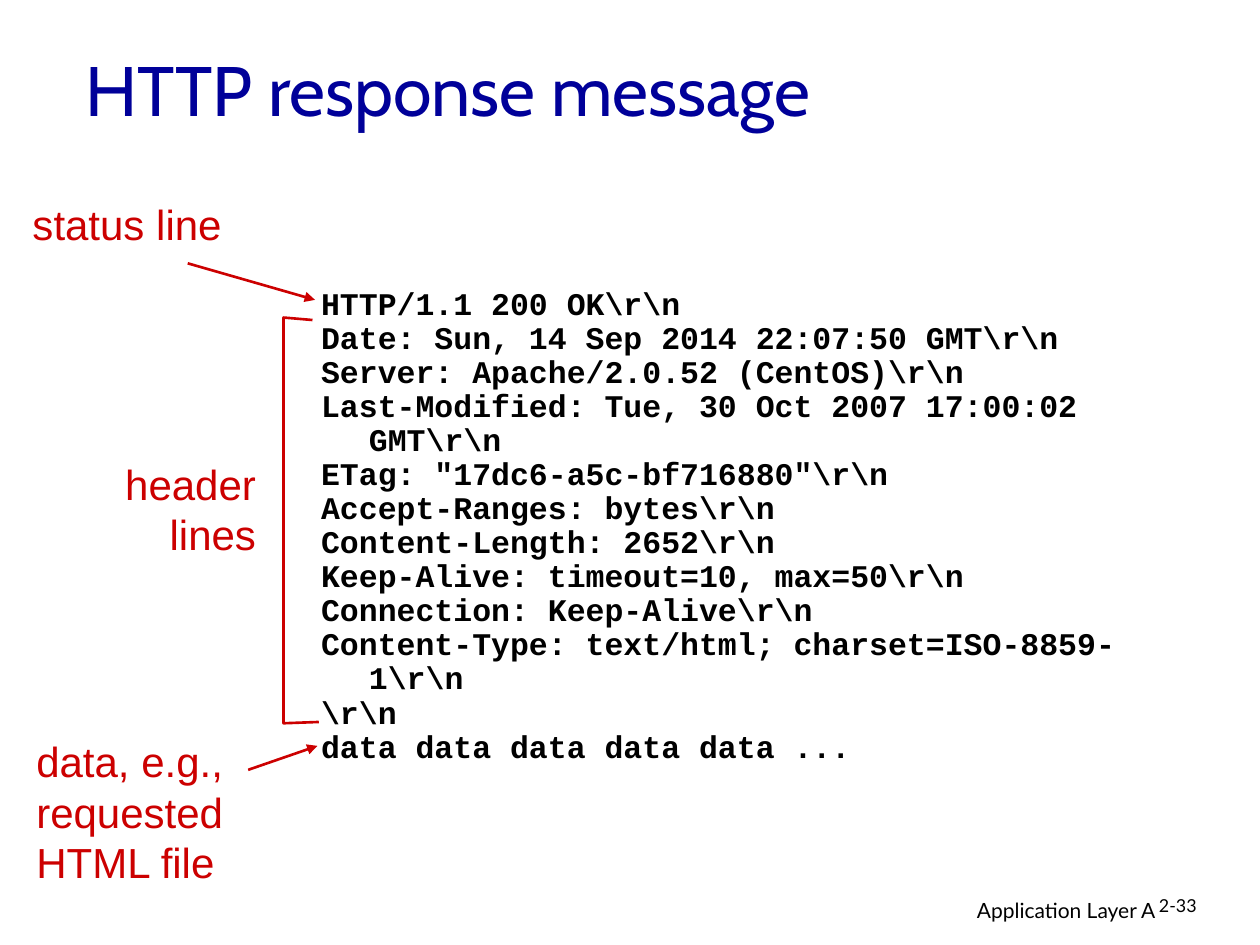
from lxml.etree import SubElement
from pptx import Presentation
from pptx.dml.color import RGBColor
from pptx.enum.shapes import MSO_CONNECTOR as Connector
from pptx.enum.text import MSO_ANCHOR as Anchor, MSO_AUTO_SIZE as AutoSize, PP_ALIGN as Align
from pptx.oxml.ns import qn
from pptx.util import Inches, Pt

RED, NAVY, BLACK = "CC0000", "000099", "000000"
LEFT, RIGHT = Align.LEFT, Align.RIGHT

presentation = Presentation()
presentation.slide_width, presentation.slide_height = Inches(10), Inches(7.5)
COLUMN = presentation.slide_width / 100
ROW = presentation.slide_height / 75
slide = presentation.slides.add_slide(presentation.slide_layouts[5])


def rgb(value):
    return RGBColor.from_string(value)


def write(shape, lines, font, color, paragraph_format):
    """Fill a shape with one paragraph per line, all in one style."""
    frame = shape.text_frame
    frame.text = "\n".join(lines)
    for paragraph in frame.paragraphs:
        for name, value in paragraph_format.items():
            setattr(paragraph, name, value)
        for name, value in font.items():
            setattr(paragraph.font, name, value)
        paragraph.font.color.rgb = rgb(color)


# Title
title = slide.shapes.title
title_place = {"left": 5.8 * COLUMN, "top": 1.7 * ROW, "width": 85 * COLUMN, "height": 10.7 * ROW}
for name, value in title_place.items():
    setattr(title, name, round(value))
title.text_frame.auto_size = AutoSize.NONE
title.text_frame.vertical_anchor = Anchor.MIDDLE
write(title, ["HTTP response message"], {"name": "Cabin", "size": Pt(40)}, NAVY, {"alignment": LEFT})

# Text styles
label_font = {"name": "Arial", "size": Pt(24)}
code_font = {"name": "Courier New", "size": Pt(18), "bold": True}
footer_font = {"name": "Lato", "size": Pt(12)}
number_font = {"name": "Lato", "size": Pt(10.2)}
left, right = {"alignment": LEFT}, {"alignment": RIGHT}
tight = {"alignment": LEFT, "line_spacing": 0.9}

# Response message, each line closed by a visible line break
message = [line + r"\r\n" for line in (
    "HTTP/1.1 200 OK",
    "Date: Sun, 14 Sep 2014 22:07:50 GMT",
    "Server: Apache/2.0.52 (CentOS)",
    "Last-Modified: Tue, 30 Oct 2007 17:00:02 GMT",
    'ETag: "17dc6-a5c-bf716880"',
    "Accept-Ranges: bytes",
    "Content-Length: 2652",
    "Keep-Alive: timeout=10, max=50",
    "Connection: Keep-Alive",
    "Content-Type: text/html; charset=ISO-8859-1",
    "",
)] + ["data data data data data ..."]

# Text boxes: column, row, columns wide, rows high, wrap, lines, font, colour, format
text_boxes = [
    (61, 70.7, 31.7, 3.1, True, ["Application Layer A"], footer_font, BLACK, right),
    (91, 70.7, 7.4, 3, True, ["2-33"], number_font, BLACK, tight),
    (1.6, 15.3, 17, 5, False, ["status line"], label_font, RED, left),
    (8.9, 35.9, 12.4, 9, False, ["header", "lines"], label_font, RED, right),
    (1.9, 57.9, 17.7, 13, False, ["data, e.g.,", "requested", "HTML file"], label_font, RED, left),
    (24.5, 22.4, 69, 38.8, True, message, code_font, BLACK, tight),
]
for column, row, columns, rows, wrap, lines, font, color, paragraph_format in text_boxes:
    box = slide.shapes.add_textbox(
        round(column * COLUMN), round(row * ROW), round(columns * COLUMN), round(rows * ROW))
    box.text_frame.word_wrap = wrap
    write(box, lines, font, color, paragraph_format)

# Hanging indent for the wrapped message lines
for paragraph in box.text_frame.paragraphs:
    properties = paragraph._p.get_or_add_pPr()
    properties.set("marL", str(Inches(0.38)))
    properties.set("indent", str(-Inches(0.38)))

# Arrows from the labels to the status line and the data
for x1, y1, x2, y2 in [(14.9, 20.9, 25, 23.8), (19.7, 61.1, 25.2, 59.2)]:
    arrow = slide.shapes.add_connector(
        Connector.STRAIGHT, round(x1 * COLUMN), round(y1 * ROW), round(x2 * COLUMN), round(y2 * ROW))
    arrow.line.color.rgb = rgb(RED)
    arrow.line.width = Pt(1.5)
    SubElement(arrow.line._get_or_add_ln(), qn("a:tailEnd"), type="triangle")
    SubElement(arrow._element.spPr, qn("a:effectLst"))

# Bracket around the header lines
start, *corners = [(round(x * COLUMN), round(y * ROW))
                   for x, y in [(24.8, 25.4), (22.5, 25.2), (22.5, 57.4), (25.3, 57.3)]]
builder = slide.shapes.build_freeform(*start)
builder.add_line_segments(corners, close=False)
bracket = builder.convert_to_shape()
bracket.shadow.inherit = False
bracket.fill.background()
bracket.line.color.rgb = rgb(RED)
bracket.line.width = Pt(1.5)

presentation.save("out.pptx")
